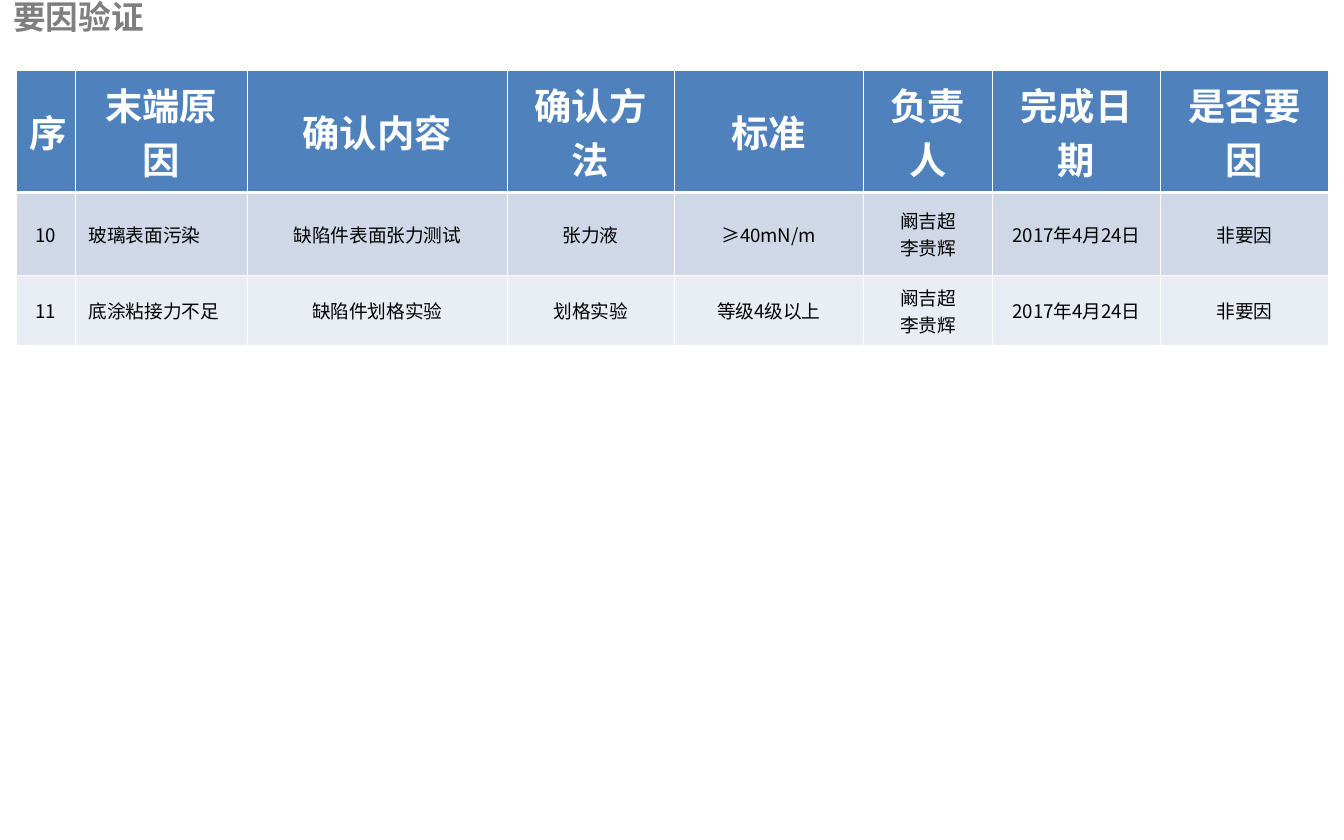
from dataclasses import dataclass
from lxml.etree import SubElement
from pptx import Presentation
from pptx.dml.color import RGBColor
from pptx.enum.text import MSO_ANCHOR, PP_ALIGN
from pptx.oxml.ns import qn
from pptx.util import Emu, Inches, Pt

WIDE, HIGH = Inches(10), Inches(6.25)
HUE = {
    "title": "7F7F7F", "head": "4F81BD", "odd": "D0D8E8",
    "even": "E9EDF4", "rule": "FFFFFF", "text": "000000",
}
SANS, LATIN = "Noto Sans CJK SC", "Calibri"
THIN, THICK = 0.45, 1.47
COLS = (4.4, 12.8, 19.35, 12.4, 14.1, 9.6, 12.5, 12.5)


@dataclass(frozen=True)
class Style:
    size: float
    hue: str
    bold: bool = False
    face: str = SANS


@dataclass(frozen=True)
class Row:
    high: float
    fill: str
    style: Style
    top: float
    base: float
    cells: tuple


HEAD = Style(20, "rule", True)
BODY = Style(10, "text")
CAUSE = Style(10, "text", face=LATIN)
TITLE = Style(17.5, "title", True)
TEAM = "阚吉超\n李贵辉"
DATE = "2017年4月24日"
ROWS = (
    Row(14.5, "head", HEAD, THIN, THICK,
        ("序", "末端原因", "确认内容", "确认方法", "标准", "负责人", "完成日期", "是否要因")),
    Row(9.92, "odd", BODY, THICK, THIN,
        ("10", "玻璃表面污染", "缺陷件表面张力测试", "张力液", "≥40mN/m", TEAM, DATE, "非要因")),
    Row(8.32, "even", BODY, THIN, THIN,
        ("11", "底涂粘接力不足", "缺陷件划格实验", "划格实验", "等级4级以上", TEAM, DATE, "非要因")),
)


def across(share: float) -> Emu:
    return Emu(round(WIDE * share / 100))


def down(share: float) -> Emu:
    return Emu(round(HIGH * share / 100))


def color(name: str) -> RGBColor:
    return RGBColor.from_string(HUE[name])


def write(frame, text: str, style: Style, align: PP_ALIGN) -> None:
    for i, line in enumerate(text.split("\n")):
        para = frame.add_paragraph() if i else frame.paragraphs[0]
        para.alignment = align
        run = para.add_run()
        run.text = line
        font = run.font
        font.size, font.bold, font.name = Pt(style.size), style.bold, style.face
        font.color.rgb = color(style.hue)
        SubElement(font._element, qn("a:ea"), typeface=SANS)


def border(cell, row: Row) -> None:
    props = cell._tc.get_or_add_tcPr()
    sides = (("lnL", THIN), ("lnR", THIN), ("lnT", row.top), ("lnB", row.base))
    for i, (side, width) in enumerate(sides):
        line = props.makeelement(qn(f"a:{side}"), {"w": str(Pt(width))})
        props.insert(i, line)
        fill = SubElement(line, qn("a:solidFill"))
        SubElement(fill, qn("a:srgbClr"), val=HUE["rule"])


def add_title(slide) -> None:
    box = slide.shapes.add_textbox(0, down(-0.25), across(77.6), down(6.4))
    frame = box.text_frame
    frame.word_wrap = True
    write(frame, "要因验证", TITLE, PP_ALIGN.LEFT)
    para = frame.paragraphs[0]
    para.line_spacing = 0.8
    props = para._p.get_or_add_pPr()
    props.set("marL", str(Inches(0.38)))
    props.set("indent", str(Inches(-0.38)))


def add_grid(slide) -> None:
    high = sum(row.high for row in ROWS)
    table = slide.shapes.add_table(
        len(ROWS), len(COLS), across(1.2), down(8.4), across(sum(COLS)), down(high)
    ).table
    for col, share in zip(table.columns, COLS):
        col.width = across(share)
    for r, row in enumerate(ROWS):
        table.rows[r].height = down(row.high)
        for c, text in enumerate(row.cells):
            cell = table.cell(r, c)
            cause = r > 0 and c == 1
            cell.vertical_anchor = MSO_ANCHOR.MIDDLE
            cell.fill.solid()
            cell.fill.fore_color.rgb = color(row.fill)
            border(cell, row)
            write(cell.text_frame, text, CAUSE if cause else row.style,
                  PP_ALIGN.LEFT if cause else PP_ALIGN.CENTER)


def main() -> None:
    deck = Presentation()
    deck.slide_width, deck.slide_height = WIDE, HIGH
    slide = deck.slides.add_slide(deck.slide_layouts[6])
    add_title(slide)
    add_grid(slide)
    deck.save("out.pptx")


if __name__ == "__main__":
    main()
